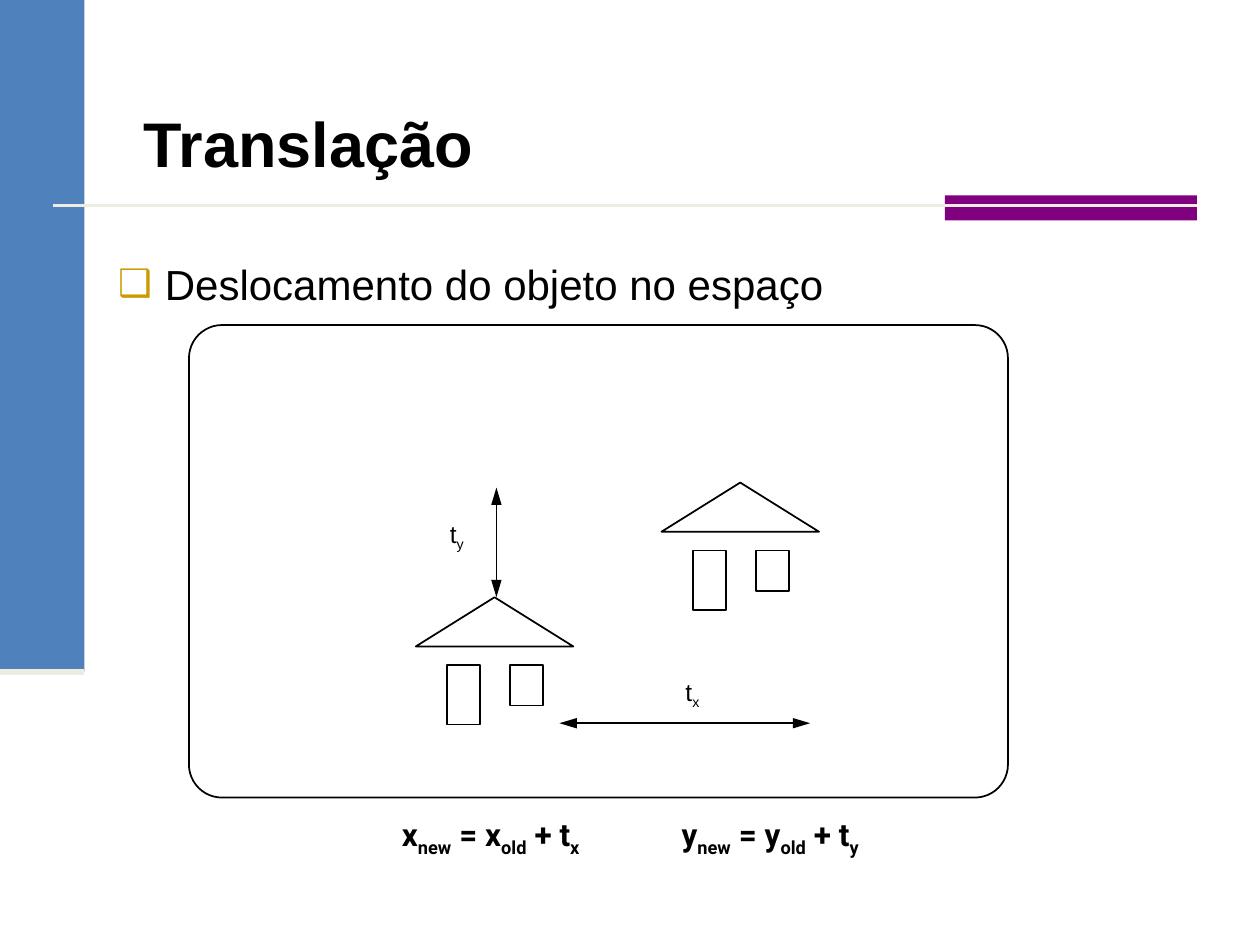
from dataclasses import dataclass
from pptx import Presentation
from pptx.dml.color import RGBColor as RGB
from pptx.enum.shapes import MSO_CONNECTOR as Line, MSO_SHAPE as Shape
from pptx.enum.text import PP_ALIGN as Align
from pptx.oxml.xmlchemy import OxmlElement as Elem
from pptx.util import Inches, Pt


@dataclass(frozen=True)
class Theme:
    font: str = "Arial"
    math: str = "Roboto"
    ink: str = "000000"
    paper: str = "FFFFFF"
    blue: str = "4F81BD"
    purple: str = "800080"
    cream: str = "EEECE1"
    gold: str = "CC9900"
    title: int = 36
    body: int = 24
    rule: int = 18
    label: int = 14
    thin: float = 1


THEME = Theme()


def add(parent, tag, **attrs):
    node = Elem(tag)
    for key, value in attrs.items():
        node.set(key, str(value))
    parent.append(node)
    return node


def block(slide, kind, box, fill=None, line=None):
    shape = slide.shapes.add_shape(kind, *map(Inches, box))
    shape.shadow.inherit = False
    if fill:
        shape.fill.solid()
        shape.fill.fore_color.rgb = RGB.from_string(fill)
    else:
        shape.fill.background()
    if line:
        shape.line.color.rgb = RGB.from_string(line)
        shape.line.width = Pt(THEME.thin)
    else:
        shape.line.fill.background()
    return shape


def stroke(slide, start, end, color, width, heads=False):
    line = slide.shapes.add_connector(
        Line.STRAIGHT, *map(Inches, (*start, *end)))
    line.line.color.rgb = RGB.from_string(color)
    line.line.width = Pt(width)
    if heads:
        for tag in ("a:headEnd", "a:tailEnd"):
            add(line.line._get_or_add_ln(), tag,
                type="triangle", w="med", len="lg")
    add(line._element.spPr, "a:effectLst")


def text_box(slide, box, inset, wrap=True):
    frame = slide.shapes.add_textbox(*map(Inches, box)).text_frame
    frame.word_wrap = wrap
    frame.margin_left = frame.margin_right = Inches(inset[0])
    frame.margin_top = frame.margin_bottom = Inches(inset[1])
    return frame


def style(run, size, font=THEME.font, bold=False, sub=False):
    run.font.size = Pt(size)
    run.font.name = font
    run.font.bold = bold
    run.font.color.rgb = RGB.from_string(THEME.ink)
    if sub:
        run.font._element.set("baseline", "-25000")


def terms(para, parts, size, font=THEME.font, bold=False):
    for index, part in enumerate(parts):
        run = para.add_run()
        run.text = part
        style(run, size, font, bold, sub=index % 2 == 1)


def frame_art(slide, box):
    left, top, width, height = box
    bar, base, rule = 0.67, 5.33, 1.63
    block(slide, Shape.RECTANGLE, (left, top, bar, base), THEME.blue)
    block(slide, Shape.RECTANGLE,
          (left + width - 2.5, top + 1.55, 2, 0.2), THEME.purple)
    stroke(slide, (left + 0.42, top + rule),
           (left + width - 0.5, top + rule), THEME.cream, 1.5)
    stroke(slide, (left, top + base), (left + bar, top + base),
           THEME.cream, 3.5)


def title(slide, box):
    frame = text_box(slide, box, (0.07, 0.03))
    frame.text = "Translação"
    para = frame.paragraphs[0]
    para.alignment = Align.JUSTIFY
    style(para.runs[0], THEME.title, bold=True)


def bullet(slide, box):
    frame = text_box(slide, box, (0.1, 0.05))
    frame.text = "Deslocamento do objeto no espaço"
    para = frame.paragraphs[0]
    props = para._p.get_or_add_pPr()
    props.set("marL", str(Inches(0.38)))
    props.set("indent", str(Inches(-0.37)))
    add(add(props, "a:buClr"), "a:srgbClr", val=THEME.gold)
    add(props, "a:buSzPct", val=90000)
    add(props, "a:buFont", typeface=THEME.font)
    add(props, "a:buChar", char="❑")
    style(para.runs[0], THEME.body)


def formula(slide, box):
    frame = text_box(slide, box, (0.1, 0.05))
    frame.margin_left = Inches(1.86)
    para = frame.paragraphs[0]
    tabs = add(para._p.get_or_add_pPr(), "a:tabLst")
    add(tabs, "a:tab", pos=Inches(2.22), algn="l")
    parts = ("x", "new", " = x", "old", " + t", "x",
             "\ty", "new", " = y", "old", " + t", "y")
    terms(para, parts, THEME.rule, THEME.math, True)


def house(slide, box):
    left, top, width, height = box
    eave, wall = 0.39, 0.54
    block(slide, Shape.ISOSCELES_TRIANGLE, (left, top, width, eave),
          line=THEME.ink)
    for shift, tall in ((0.2, height - wall), (0.6, 0.32)):
        block(slide, Shape.RECTANGLE,
              (left + width * shift, top + wall, 0.26, tall),
              THEME.paper, THEME.ink)


def label(slide, box, axis):
    frame = text_box(slide, box, (0, 0))
    terms(frame.paragraphs[0], ("t", axis), THEME.label)


def scene(slide, box):
    left, top, width, height = box
    panel = block(slide, Shape.ROUNDED_RECTANGLE, box,
                  THEME.paper, THEME.ink)
    panel.adjustments[0] = 0.07
    for dx, dy in ((1.8, 2.16), (3.75, 1.25)):
        house(slide, (left + dx, top + dy, 1.25, 1.01))
    moves = (("y", (2.44, 2.16), (2.44, 1.29), (2.07, 1.54)),
             ("x", (2.94, 3.16), (4.93, 3.16), (3.94, 2.79)))
    for axis, start, end, spot in moves:
        stroke(slide, (left + start[0], top + start[1]),
               (left + end[0], top + end[1]), THEME.ink, THEME.thin, True)
        label(slide, (left + spot[0], top + spot[1], 0.2, 0.26), axis)


def main():
    deck = Presentation()
    deck.slide_width, deck.slide_height = Inches(10), Inches(7.5)
    slide = deck.slides.add_slide(deck.slide_layouts[6])
    frame_art(slide, (0, 0, 10, 7.5))
    title(slide, (1.07, 0.8, 2.78, 1.31))
    bullet(slide, (0.83, 2, 7.92, 1.08))
    formula(slide, (1.33, 6.42, 7.33, 0.65))
    scene(slide, (1.5, 2.58, 6.5, 3.75))
    deck.save("out.pptx")


if __name__ == "__main__":
    main()
